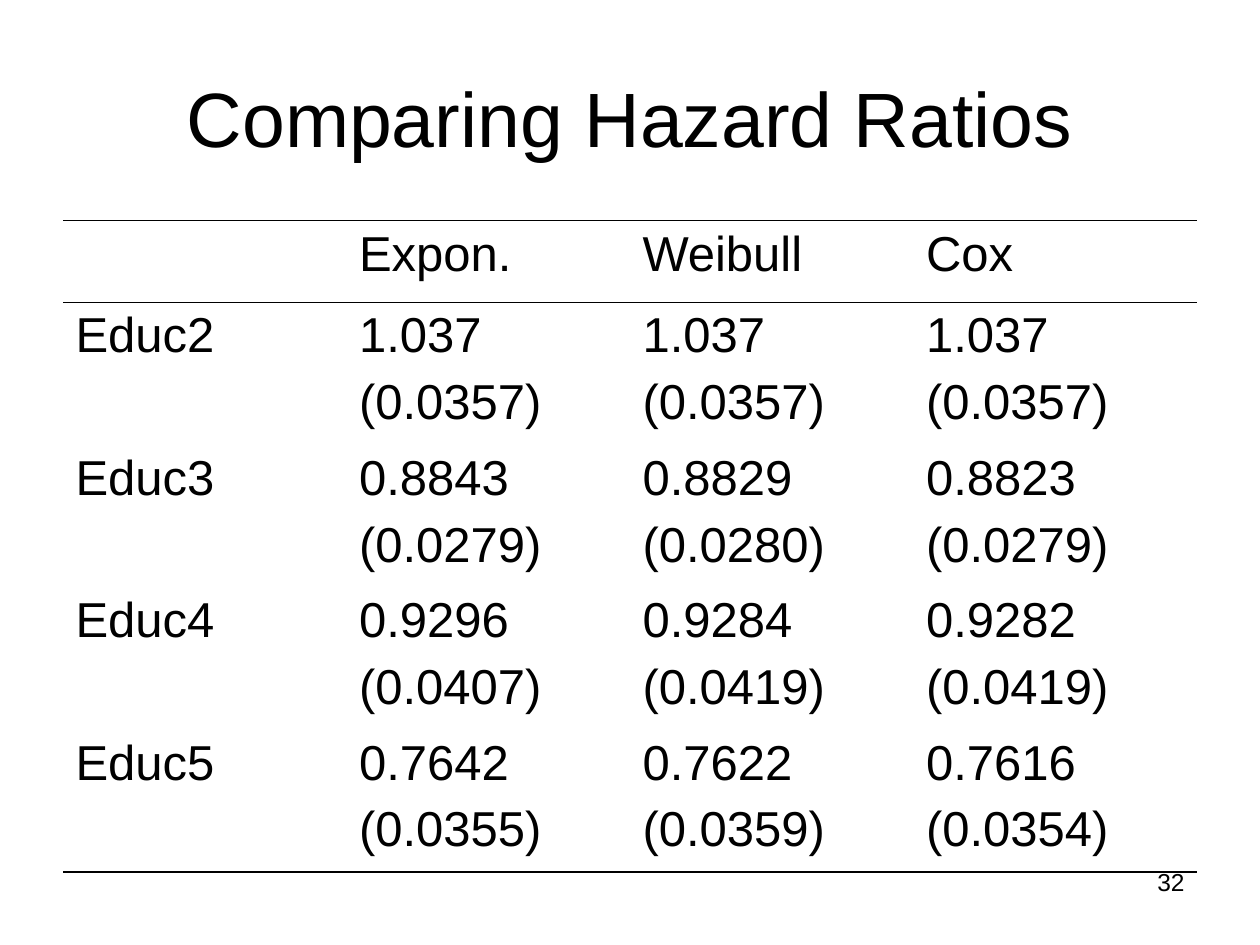
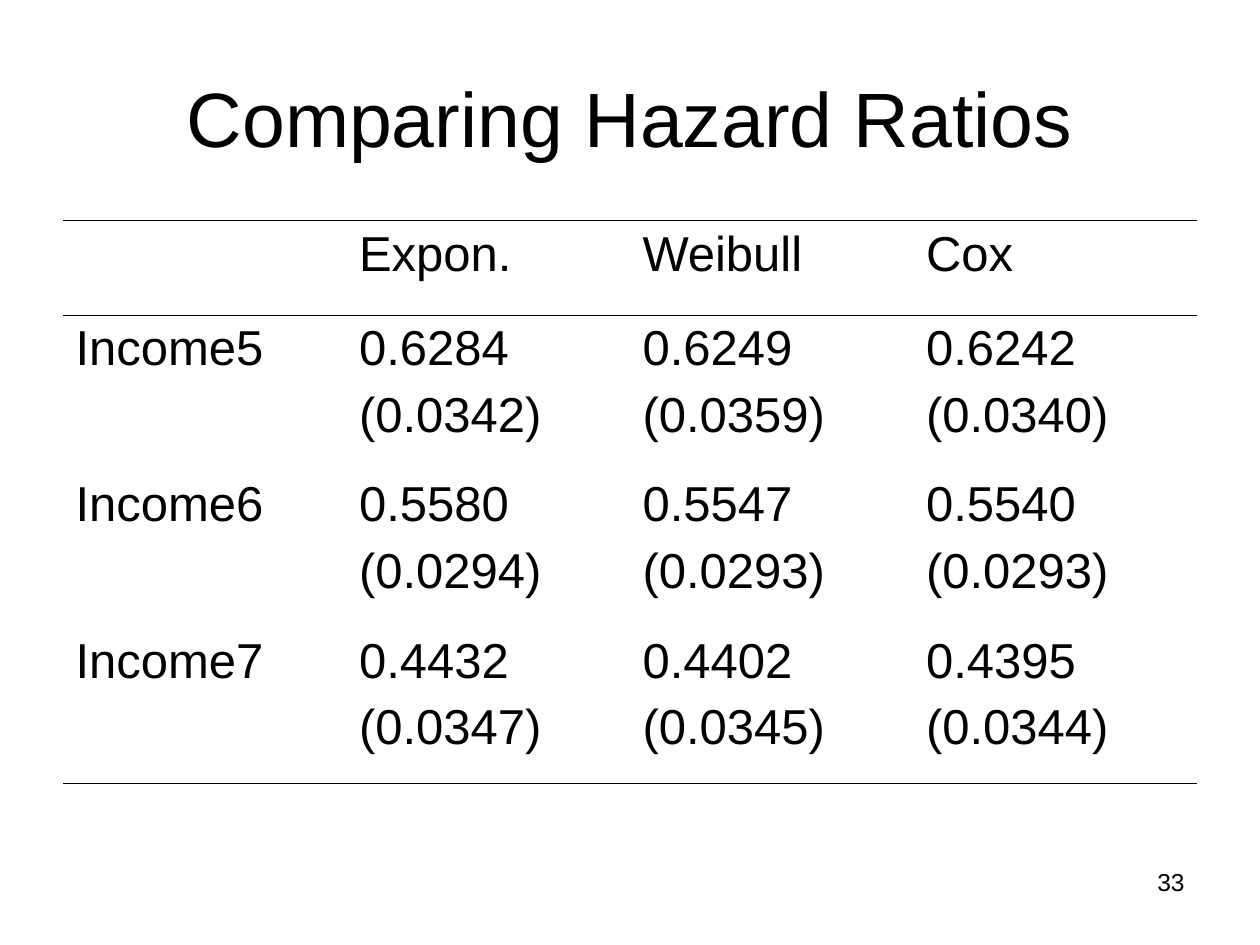
"""Build two slides that compare hazard ratios across survival models."""
from lxml.etree import SubElement
from pptx import Presentation
from pptx.dml.color import RGBColor
from pptx.enum.text import MSO_ANCHOR as ANCHOR, PP_ALIGN as ALIGN
from pptx.oxml.ns import qn
from pptx.util import Inches, Pt

FONT = "Arial"
INK = "000000"
TITLE = "Comparing Hazard Ratios"
MODELS = ["Expon.", "Weibull", "Cox"]
LEFT, WIDTH, TABLE_TOP = 0.5, 9, 1.75
OUTER_RULE, HEADER_RULE = 1.08, 0.45

SLIDES = [
    dict(number="32", header_height=0.65, row_height=1.13, rows=[
        ("Educ2", [("1.037", "(0.0357)"), ("1.037", "(0.0357)"), ("1.037", "(0.0357)")]),
        ("Educ3", [("0.8843", "(0.0279)"), ("0.8829", "(0.0280)"), ("0.8823", "(0.0279)")]),
        ("Educ4", [("0.9296", "(0.0407)"), ("0.9284", "(0.0419)"), ("0.9282", "(0.0419)")]),
        ("Educ5", [("0.7642", "(0.0355)"), ("0.7622", "(0.0359)"), ("0.7616", "(0.0354)")]),
    ]),
    dict(number="33", header_height=0.75, row_height=1.24, rows=[
        ("Income5", [("0.6284", "(0.0342)"), ("0.6249", "(0.0359)"), ("0.6242", "(0.0340)")]),
        ("Income6", [("0.5580", "(0.0294)"), ("0.5547", "(0.0293)"), ("0.5540", "(0.0293)")]),
        ("Income7", [("0.4432", "(0.0347)"), ("0.4402", "(0.0345)"), ("0.4395", "(0.0344)")]),
    ]),
]


def color(value):
    return RGBColor.from_string(value)


def write(tf, lines, size, align=ALIGN.LEFT, before=0):
    for i, line in enumerate(lines):
        p = tf.add_paragraph() if i else tf.paragraphs[0]
        p.alignment = align
        p.space_before = Pt(before)
        r = p.add_run()
        r.text = line
        r.font.name, r.font.size, r.font.bold = FONT, Pt(size), False
        r.font.color.rgb = color(INK)


def set_borders(cell, top, bottom):
    tc_pr = cell._tc.get_or_add_tcPr()
    for side, width in (("L", 0), ("R", 0), ("T", top), ("B", bottom)):
        ln = SubElement(tc_pr, qn(f"a:ln{side}"), w=str(Pt(width)))
        if width:
            fill = SubElement(ln, qn("a:solidFill"))
            SubElement(fill, qn("a:srgbClr"), val=INK)
        else:
            SubElement(ln, qn("a:noFill"))


def add_title(s):
    title = s.shapes.title
    title.left, title.top = Inches(LEFT), Inches(0.3)
    title.width, title.height = Inches(WIDTH), Inches(1.25)
    title.text_frame.vertical_anchor = ANCHOR.MIDDLE
    write(title.text_frame, [TITLE], 44, ALIGN.CENTER)


def add_ratios(s, rows, header_height, row_height):
    grid = [[()] + [(model,) for model in MODELS]]
    grid += [[(label,)] + ratios for label, ratios in rows]
    heights = [header_height] + [row_height] * len(rows)
    rules = [OUTER_RULE, HEADER_RULE] + [0] * (len(rows) - 1) + [OUTER_RULE]
    table = s.shapes.add_table(len(grid), len(grid[0]), Inches(LEFT), Inches(TABLE_TOP),
                               Inches(WIDTH), Inches(sum(heights))).table
    table.first_row = table.horz_banding = False
    for i, line in enumerate(grid):
        table.rows[i].height = Inches(heights[i])
        for j, texts in enumerate(line):
            cell = table.cell(i, j)
            set_borders(cell, rules[i], rules[i + 1])
            cell.fill.background()
            write(cell.text_frame, texts, 28, before=7)


def add_number(s, number):
    tf = s.shapes.add_textbox(Inches(7.17), Inches(6.83), Inches(2.33), Inches(0.52)).text_frame
    tf.word_wrap = True
    write(tf, [number], 14, ALIGN.RIGHT)


prs = Presentation()
prs.slide_width, prs.slide_height = Inches(10), Inches(7.5)
for content in SLIDES:
    s = prs.slides.add_slide(prs.slide_layouts[5])
    add_title(s)
    add_ratios(s, content["rows"], content["header_height"], content["row_height"])
    add_number(s, content["number"])
prs.save("out.pptx")
